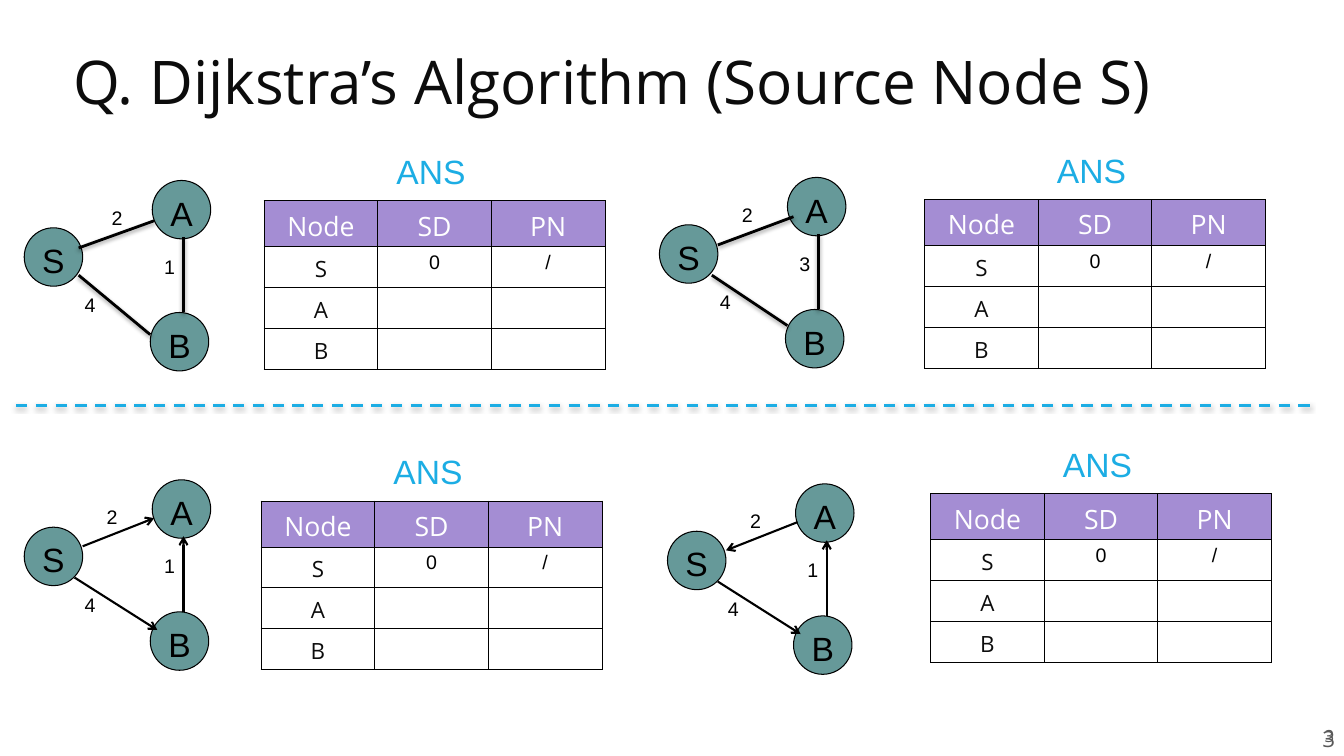
from dataclasses import dataclass

from lxml import etree
from pptx import Presentation
from pptx.dml.color import RGBColor
from pptx.enum.dml import MSO_LINE
from pptx.enum.shapes import MSO_CONNECTOR, MSO_SHAPE
from pptx.enum.text import MSO_ANCHOR, PP_ALIGN
from pptx.oxml import parse_xml
from pptx.oxml.ns import nsdecls, qn
from pptx.shapes.connector import Connector
from pptx.slide import Slide
from pptx.table import _Cell
from pptx.text.text import TextFrame
from pptx.util import Inches, Pt

OVAL = MSO_SHAPE.OVAL
STRAIGHT = MSO_CONNECTOR.STRAIGHT
DASH = MSO_LINE.DASH
TOP, MIDDLE = MSO_ANCHOR.TOP, MSO_ANCHOR.MIDDLE
LEFT, CENTER, RIGHT = PP_ALIGN.LEFT, PP_ALIGN.CENTER, PP_ALIGN.RIGHT

Point = tuple[float, float]


@dataclass(frozen=True)
class Theme:
    """Colours, fonts and type sizes of the slide."""
    black: str = "000000"
    white: str = "FFFFFF"
    ink: str = "0C0C0C"
    grey: str = "595959"
    node: str = "669999"
    accent: str = "1CADE4"
    header: str = "A48DD3"
    sans: str = "Arial"
    display: str = "Open Sans"
    title_size: int = 43
    large_size: int = 24
    header_size: int = 19
    body_size: int = 16
    label_size: int = 14
    footer_size: int = 12


@dataclass(frozen=True)
class Edge:
    """A weighted edge, with points relative to the graph's corner."""
    start: Point
    end: Point
    weight: str
    label: Point


@dataclass(frozen=True)
class Exercise:
    """A graph with its answer table."""
    graph: Point
    table: Point
    edges: tuple[Edge, ...]
    directed: bool


THEME = Theme()
NODE_SIZE = 0.58
NODES: dict[str, Point] = {"S": (0, 0), "A": (1.27, -0.47), "B": (1.25, 0.84)}
ROWS = (("Node", "SD", "PN"), ("S", "0", "/"), ("A", "", ""), ("B", "", ""))
ROW_HEIGHTS = (0.45, 0.4, 0.4, 0.4)
COLUMN_WIDTH = 1.127
SA_LABEL, SB_LABEL, BA_LABEL = (0.72, -0.27), (0.5, 0.6), (1.29, 0.22)
BA_START, BA_END = (1.58, 0.84), (1.58, 0.09)
SB_ARROW = Edge((0.5, 0.5), (1.32, 1.02), "4", SB_LABEL)
BA_ONE = Edge(BA_START, BA_END, "1", BA_LABEL)
NEAR_S, NEAR_A = (0.58, 0.19), (1.29, -0.09)

EXERCISES = (
    Exercise((0.24, 2.26), (2.62, 1.99), (
        Edge((0.54, 0.2), (1.29, -0.07), "2", (0.77, -0.27)),
        Edge((0.54, 0.47), (1.25, 1.06), "4", SB_LABEL),
        BA_ONE), False),
    Exercise((6.54, 2.23), (9.17, 1.98), (
        Edge((0.58, 0.2), (1.33, -0.08), "2", SA_LABEL),
        Edge((0.52, 0.5), (1.27, 1), "4", SB_LABEL),
        Edge(BA_START, BA_END, "3", BA_LABEL)), False),
    Exercise((0.24, 5.23), (2.59, 4.97), (
        Edge(NEAR_S, NEAR_A, "2", SA_LABEL), SB_ARROW, BA_ONE), True),
    Exercise((6.62, 5.27), (9.23, 4.9), (
        Edge(NEAR_A, NEAR_S, "2", SA_LABEL), SB_ARROW, BA_ONE), True),
)


def write_text(frame: TextFrame, text: str, *, size: int, color: str = THEME.black,
               font: str = THEME.sans, align: PP_ALIGN = LEFT, spacing: float = 1.0) -> None:
    """Write one formatted paragraph."""
    paragraph = frame.paragraphs[0]
    paragraph.alignment = align
    paragraph.line_spacing = spacing
    run = paragraph.add_run()
    run.text = text
    run.font.size = Pt(size)
    run.font.name = font
    run.font.color.rgb = RGBColor.from_string(color)


def add_text_box(slide: Slide, position: Point, size: Point,
                 anchor: MSO_ANCHOR = MIDDLE) -> TextFrame:
    """Add a wrapping text box and return its frame."""
    frame = slide.shapes.add_textbox(*map(Inches, position + size)).text_frame
    frame.word_wrap = True
    frame.vertical_anchor = anchor
    return frame


def add_line(slide: Slide, start: Point, end: Point, *, width: float,
             color: str = THEME.black, shadow: bool = True) -> Connector:
    """Add a straight line with or without a soft shadow."""
    connector = slide.shapes.add_connector(STRAIGHT, *map(Inches, start + end))
    connector.line.width = Pt(width)
    connector.line.color.rgb = RGBColor.from_string(color)
    effects = etree.SubElement(connector._element.spPr, qn("a:effectLst"))
    if shadow:
        effects.append(parse_xml(
            f'<a:outerShdw {nsdecls("a")} blurRad="40000" dist="20000" dir="5400000" '
            f'rotWithShape="0"><a:srgbClr val="{THEME.black}"><a:alpha val="38000"/>'
            '</a:srgbClr></a:outerShdw>'))
    return connector


def offset(origin: Point, delta: Point) -> Point:
    """Move a point by a delta."""
    return origin[0] + delta[0], origin[1] + delta[1]


def add_graph(slide: Slide, exercise: Exercise) -> None:
    """Draw the nodes, edges and weights of one graph."""
    for name, delta in NODES.items():
        position = offset(exercise.graph, delta)
        shape = slide.shapes.add_shape(OVAL, *map(Inches, position + (NODE_SIZE, NODE_SIZE)))
        shape.shadow.inherit = False
        shape.fill.solid()
        shape.fill.fore_color.rgb = RGBColor.from_string(THEME.node)
        shape.line.color.rgb = RGBColor.from_string(THEME.black)
        shape.line.width = Pt(0.75)
        frame = shape.text_frame
        frame.margin_left = frame.margin_right = frame.margin_bottom = 0
        frame.margin_top = Inches(0.06)
        frame.vertical_anchor = MIDDLE
        write_text(frame, name, size=THEME.large_size, align=CENTER)
    for edge in exercise.edges:
        connector = add_line(slide, offset(exercise.graph, edge.start),
                             offset(exercise.graph, edge.end),
                             width=1.5 if exercise.directed else 2,
                             shadow=not exercise.directed)
        if exercise.directed:
            line = connector.line._get_or_add_ln()
            etree.SubElement(line, qn("a:tailEnd"), type="arrow")
        label = add_text_box(slide, offset(exercise.graph, edge.label), (0.58, 0.34), TOP)
        write_text(label, edge.weight, size=THEME.label_size)


def style_cell(cell: _Cell, color: str) -> None:
    """Fill a cell and border all its sides."""
    cell.fill.solid()
    cell.fill.fore_color.rgb = RGBColor.from_string(color)
    for index, side in enumerate(("lnL", "lnR", "lnT", "lnB")):
        cell._tc.get_or_add_tcPr().insert(index, parse_xml(
            f'<a:{side} {nsdecls("a")} w="9525"><a:solidFill>'
            f'<a:srgbClr val="{THEME.black}"/></a:solidFill></a:{side}>'))


def add_answer(slide: Slide, position: Point) -> None:
    """Add the answer table with its heading."""
    size = (COLUMN_WIDTH * len(ROWS[0]), sum(ROW_HEIGHTS))
    table = slide.shapes.add_table(len(ROWS), len(ROWS[0]), *map(Inches, position + size)).table
    table.first_row = table.horz_banding = False
    for row_index, values in enumerate(ROWS):
        table.rows[row_index].height = Inches(ROW_HEIGHTS[row_index])
        for column_index, value in enumerate(values):
            cell = table.cell(row_index, column_index)
            header = row_index == 0
            style_cell(cell, THEME.header if header else THEME.white)
            if header or column_index == 0:
                cell.vertical_anchor = MIDDLE
                cell.margin_left = cell.margin_right = Inches(0.07)
                cell.margin_top = cell.margin_bottom = Inches(0.07)
                write_text(cell.text_frame, value, font=THEME.display, align=CENTER,
                           size=THEME.header_size if header else THEME.body_size,
                           color=THEME.white if header else THEME.ink)
            else:
                cell.margin_bottom = 0
                if value:
                    write_text(cell.text_frame, value, size=THEME.label_size, align=CENTER)
    heading = add_text_box(slide, offset(position, (0.4, -0.55)), (2.51, 0.51))
    write_text(heading, "ANS", size=THEME.large_size, color=THEME.accent, align=CENTER)


def add_page_number(slide: Slide, position: Point, size: Point, text_size: int) -> None:
    """Add a right-aligned page number."""
    frame = add_text_box(slide, position, size)
    frame.margin_top = frame.margin_bottom = Inches(0.1)
    write_text(frame, "3", size=text_size, color=THEME.grey, font=THEME.display, align=RIGHT)


def main() -> None:
    """Build and save the slide."""
    presentation = Presentation()
    presentation.slide_width, presentation.slide_height = Inches(13.33), Inches(7.5)
    slide = presentation.slides.add_slide(presentation.slide_layouts[6])
    title = add_text_box(slide, (0.63, 0.29), (12.23, 1.11))
    write_text(title, "Q. Dijkstra’s Algorithm (Source Node S)", size=THEME.title_size,
               color=THEME.ink, font=THEME.display, spacing=0.9)
    for exercise in EXERCISES:
        add_graph(slide, exercise)
        add_answer(slide, exercise.table)
    divider = add_line(slide, (0.16, 4.02), (12.99, 4.02), width=2, color=THEME.accent)
    divider.line.dash_style = DASH
    add_page_number(slide, (8.65, 7.1), (4.68, 0.4), THEME.footer_size)
    add_page_number(slide, (12.76, 7.1), (0.58, 0.46), THEME.body_size)
    presentation.save("out.pptx")


if __name__ == "__main__":
    main()
